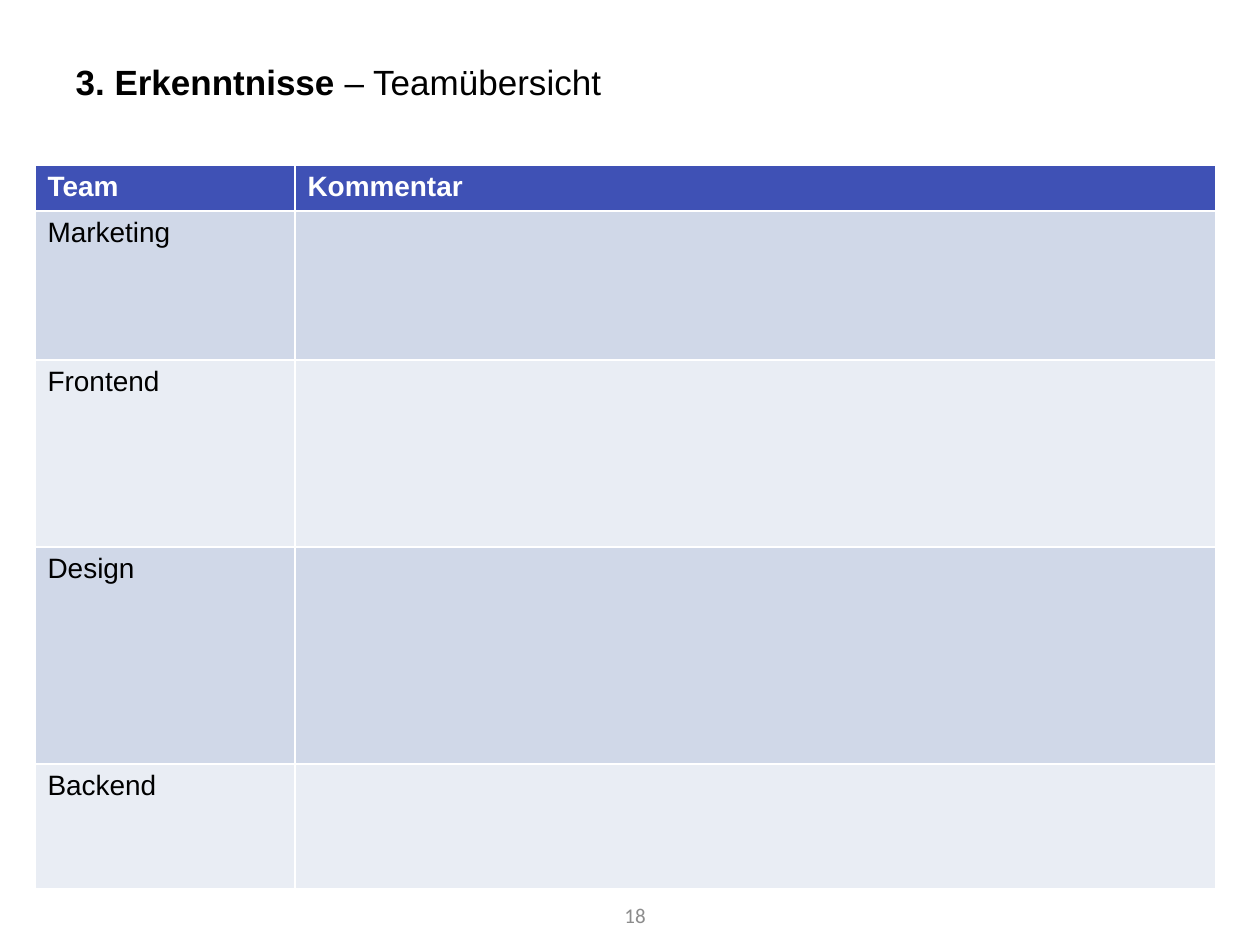
import pptx
import pptx.util
from pptx.dml.color import RGBColor
from pptx.enum.text import MSO_ANCHOR, PP_ALIGN

TITLE_RUNS = [("3. Erkenntnisse ", True), ("– Teamübersicht", False)]
TABLE_ROWS = [
    ("Team", "Kommentar"),
    ("Marketing", ""),
    ("Frontend", ""),
    ("Design", ""),
    ("Backend", ""),
]
PAGE_NUMBER = "18"

COLUMN_WIDTHS = [260, 921]
ROW_HEIGHTS = [46, 149, 187, 217, 125]
TABLE_LEFT, TABLE_TOP = 35, 165

BLACK = RGBColor(0x00, 0x00, 0x00)
WHITE = RGBColor(0xFF, 0xFF, 0xFF)
GREY = RGBColor(0x8C, 0x8C, 0x8C)
HEADER_FILL = RGBColor(0x3F, 0x51, 0xB5)
BAND_FILLS = [RGBColor(0xD0, 0xD8, 0xE8), RGBColor(0xE9, 0xED, 0xF4)]


def px(value):
    return pptx.util.Emu(round(value * 914400 / 126))


def set_font(paragraph, name, size, color, bold=None):
    paragraph.font.name = name
    paragraph.font.size = pptx.util.Pt(size)
    paragraph.font.color.rgb = color
    paragraph.font.bold = bold


def add_title(slide):
    title = slide.shapes.title
    title.left, title.top, title.width, title.height = map(px, (63, 38, 1134, 87))
    title.text_frame.vertical_anchor = MSO_ANCHOR.MIDDLE
    paragraph = title.text_frame.paragraphs[0]
    paragraph.alignment = PP_ALIGN.LEFT
    set_font(paragraph, "Arial", 20, BLACK)
    for text, bold in TITLE_RUNS:
        run = paragraph.add_run()
        run.text = text
        run.font.bold = bold


def add_team_table(slide):
    """Add the team table; its white borders come from the default table style."""
    table = slide.shapes.add_table(
        len(TABLE_ROWS), len(COLUMN_WIDTHS), px(TABLE_LEFT), px(TABLE_TOP),
        px(sum(COLUMN_WIDTHS)), px(sum(ROW_HEIGHTS))).table
    for column, width in zip(table.columns, COLUMN_WIDTHS):
        column.width = px(width)
    for index, (row, height, texts) in enumerate(zip(table.rows, ROW_HEIGHTS, TABLE_ROWS)):
        row.height = px(height)
        is_header = index == 0
        for cell, text in zip(row.cells, texts):
            cell.fill.solid()
            cell.fill.fore_color.rgb = HEADER_FILL if is_header else BAND_FILLS[(index - 1) % 2]
            cell.text = text
            set_font(cell.text_frame.paragraphs[0], "Arial", 16,
                     WHITE if is_header else BLACK, is_header)


def add_page_number(slide):
    box = slide.shapes.add_textbox(px(578), px(890), px(80), px(50))
    box.text_frame.word_wrap = True
    box.text_frame.vertical_anchor = MSO_ANCHOR.MIDDLE
    paragraph = box.text_frame.paragraphs[0]
    paragraph.text = PAGE_NUMBER
    paragraph.alignment = PP_ALIGN.RIGHT
    set_font(paragraph, "Calibri", 12, GREY)


def main():
    presentation = pptx.Presentation()
    presentation.slide_width, presentation.slide_height = px(1260), px(945)
    slide = presentation.slides.add_slide(presentation.slide_layouts.get_by_name("Title Only"))
    add_title(slide)
    add_team_table(slide)
    add_page_number(slide)
    presentation.save("out.pptx")


if __name__ == "__main__":
    main()
